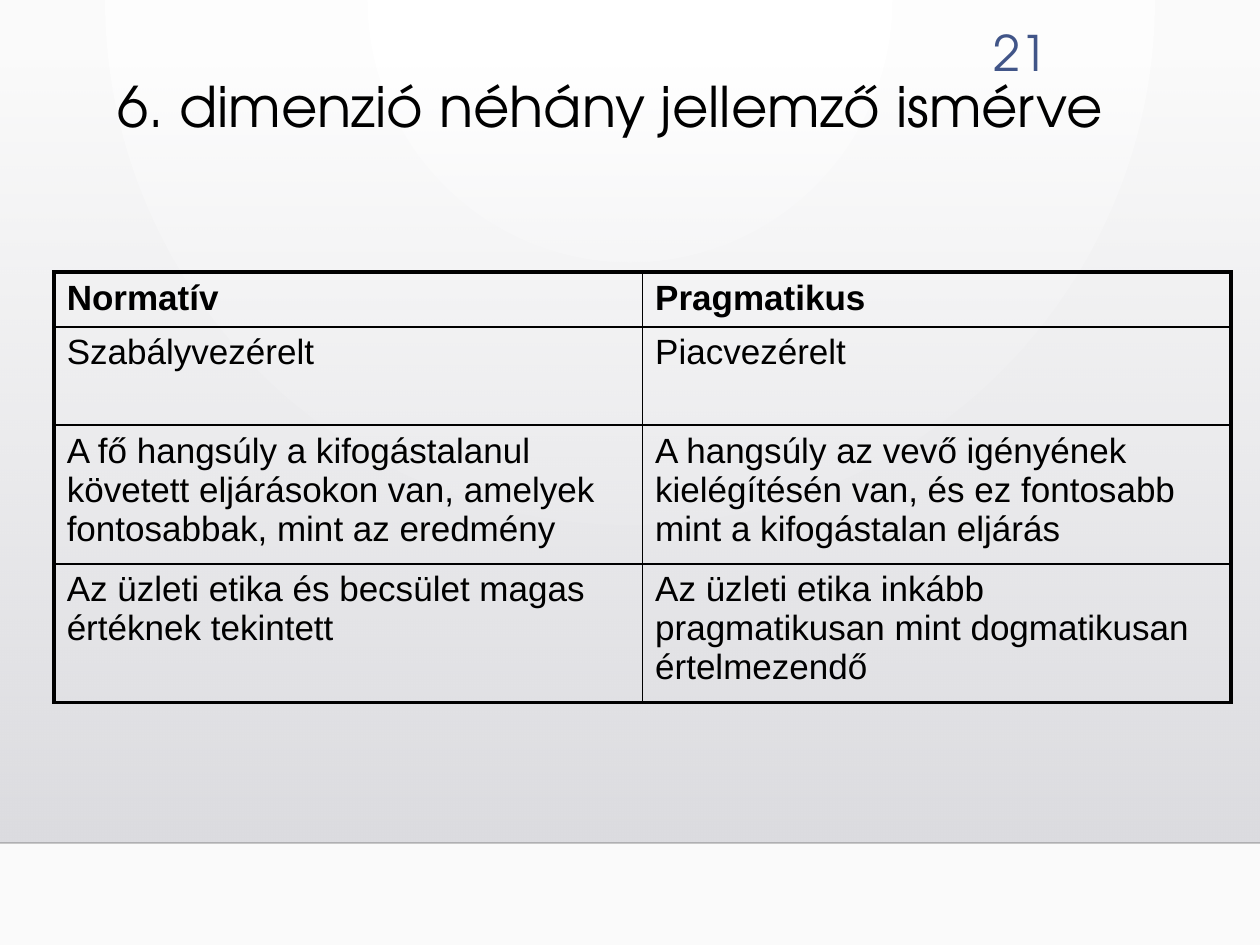
from pptx import Presentation
from pptx.dml.color import RGBColor
from pptx.enum.shapes import MSO_CONNECTOR, MSO_SHAPE
from pptx.enum.text import MSO_ANCHOR, PP_ALIGN
from pptx.oxml import parse_xml
from pptx.oxml.ns import nsdecls, qn
from pptx.util import Inches, Pt
from lxml import etree

RECTANGLE = MSO_SHAPE.RECTANGLE
STRAIGHT = MSO_CONNECTOR.STRAIGHT
TOP, MIDDLE = MSO_ANCHOR.TOP, MSO_ANCHOR.MIDDLE
LEFT, RIGHT = PP_ALIGN.LEFT, PP_ALIGN.RIGHT

BLACK = RGBColor(0x00, 0x00, 0x00)
NUMBER_BLUE = RGBColor(0x41, 0x55, 0x88)
HEADING_FONT, TABLE_FONT = "TeX Gyre Adventor", "Arial"

# Content
TITLE = "6. dimenzió néhány jellemző ismérve"
PAGE_NUMBER = "21"
ROWS = [
    ("Normatív", "Pragmatikus"),
    ("Szabályvezérelt", "Piacvezérelt"),
    ("A fő hangsúly a kifogástalanul követett eljárásokon van, amelyek fontosabbak, mint az eredmény",
     "A hangsúly az vevő igényének kielégítésén van, és ez fontosabb mint a kifogástalan eljárás"),
    ("Az üzleti etika és becsület magas értéknek tekintett",
     "Az üzleti etika inkább pragmatikusan mint dogmatikusan értelmezendő"),
]
ROW_HEIGHTS = [0.41, 0.78, 1.03, 1.03]
COLUMN_WIDTH = 4.67
TABLE_LEFT, TABLE_TOP = 0.43, 2.16
FLOOR_TOP, FLOOR_BOTTOM = 0.51, 6.69
THIN, THICK = 1, 2.25


def gradient(stops, direction):
    """Return a gradient fill; stops are (position %, colour, opacity %)."""
    stop_xml = "".join(
        f'<a:gs pos="{position * 1000}"><a:srgbClr val="{color}">'
        f'<a:alpha val="{opacity * 1000}"/></a:srgbClr></a:gs>'
        for position, color, opacity in stops)
    return (f'<a:gradFill {nsdecls("a")} rotWithShape="1">'
            f'<a:gsLst>{stop_xml}</a:gsLst>{direction}</a:gradFill>')


def style_text(frame, size, font, color, align, bold=False):
    for para in frame.paragraphs:
        para.alignment = align
        for span in para.runs:
            span.font.size = Pt(size)
            span.font.name = font
            span.font.bold = bold
            span.font.color.rgb = color


def set_border(cell, side, width):
    cell.fill.background()
    properties = cell._tc.get_or_add_tcPr()
    border = parse_xml(
        f'<a:ln{side} {nsdecls("a")} w="{Pt(width)}"><a:solidFill>'
        f'<a:srgbClr val="{BLACK}"/></a:solidFill></a:ln{side}>')
    properties.find(qn("a:noFill")).addprevious(border)


deck = Presentation()
deck.slide_width, deck.slide_height = Inches(10), Inches(7.5)
page = deck.slides.add_slide(deck.slide_layouts[5])

# Background with a soft round glow
glow = gradient(
    [(0, "FFFFFF", 100), (100, "FAFAFA", 100)],
    '<a:path path="circle"><a:fillToRect l="43000" t="0" r="43000" b="100000"/></a:path>')
page.element.find(qn("p:cSld")).insert(0, parse_xml(
    f'<p:bg {nsdecls("p", "a")}><p:bgPr>{glow}<a:effectLst/></p:bgPr></p:bg>'))

# Grey fade and the floor line, behind the title
title = page.shapes.title
fade = page.shapes.add_shape(RECTANGLE, 0, Inches(FLOOR_TOP), deck.slide_width,
                             Inches(FLOOR_BOTTOM - FLOOR_TOP))
fade.shadow.inherit = False
fade.line.fill.background()
fade.element.spPr.find(qn("a:prstGeom")).addnext(parse_xml(gradient(
    [(0, "DCDCE0", 0), (100, "DEDEE2", 100)], '<a:lin ang="5400000" scaled="0"/>')))

floor = page.shapes.add_connector(STRAIGHT, 0, Inches(FLOOR_BOTTOM),
                                  deck.slide_width, Inches(FLOOR_BOTTOM))
floor.line.width = Pt(1)
floor.line.color.rgb = BLACK
floor_properties = floor.element.spPr
floor_color = floor_properties.find(".//" + qn("a:srgbClr"))
etree.SubElement(floor_color, qn("a:alpha")).set("val", "20000")
etree.SubElement(floor_properties, qn("a:effectLst"))
for backdrop in (fade, floor):
    title.element.addprevious(backdrop.element)

# Page number
number = page.shapes.add_textbox(Inches(7.54), Inches(0.14), Inches(0.87), Inches(0.55))
number.text_frame.word_wrap = True
number.text_frame.vertical_anchor = MIDDLE
number.text_frame.text = PAGE_NUMBER
style_text(number.text_frame, 28, HEADING_FONT, NUMBER_BLUE, RIGHT)

# Title
title.left, title.top = Inches(0.83), Inches(0.58)
title.width, title.height = Inches(8.42), Inches(0.92)
title.text_frame.text = TITLE
title.text_frame.vertical_anchor = TOP
title.text_frame.paragraphs[0].line_spacing = 0.9
style_text(title.text_frame, 32, HEADING_FONT, BLACK, LEFT)

# Table: thick frame outside, thin rules inside
row_count, column_count = len(ROWS), len(ROWS[0])
frame = page.shapes.add_table(
    row_count, column_count, Inches(TABLE_LEFT), Inches(TABLE_TOP),
    Inches(COLUMN_WIDTH * column_count), Inches(sum(ROW_HEIGHTS)))
table = frame.table
table.first_row = table.horz_banding = False
for column in table.columns:
    column.width = Inches(COLUMN_WIDTH)
for i, (texts, height) in enumerate(zip(ROWS, ROW_HEIGHTS)):
    table.rows[i].height = Inches(height)
    for j, text in enumerate(texts):
        cell = table.cell(i, j)
        cell.text_frame.text = text
        style_text(cell.text_frame, 20, TABLE_FONT, BLACK, LEFT, bold=i == 0)
        outer_sides = {"L": j == 0, "R": j == column_count - 1,
                       "T": i == 0, "B": i == row_count - 1}
        for side, is_outer in outer_sides.items():
            set_border(cell, side, THICK if is_outer else THIN)

deck.save("out.pptx")
